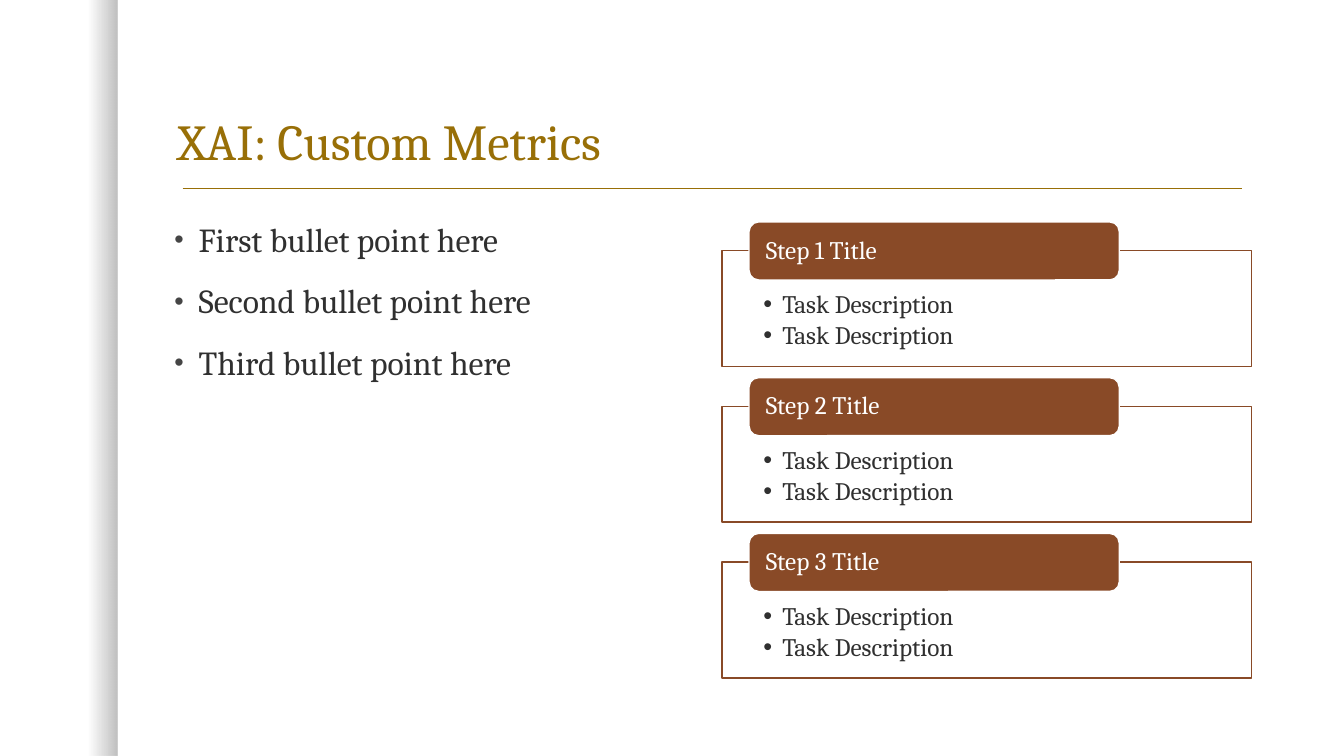
from dataclasses import dataclass

from pptx import Presentation
from pptx.dml.color import RGBColor
from pptx.enum import shapes, text
from pptx.oxml import ns, xmlchemy
from pptx.util import Pt


@dataclass(frozen=True)
class Theme:
    font: str = "Cambria"
    gold: RGBColor = RGBColor(0x98, 0x6F, 0x07)
    brown: RGBColor = RGBColor(0x89, 0x4A, 0x27)
    ink: RGBColor = RGBColor(0x30, 0x30, 0x30)
    bullet: RGBColor = RGBColor(0x45, 0x45, 0x45)
    white: RGBColor = RGBColor(0xFF, 0xFF, 0xFF)
    black: RGBColor = RGBColor(0, 0, 0)
    title_size: int = 36
    body_size: int = 24
    step_size: int = 18


THEME = Theme()
POINTS = ["First bullet point here", "Second bullet point here", "Third bullet point here"]
STEPS = [
    ("Step 1 Title", ["Task Description", "Task Description"]),
    ("Step 2 Title", ["Task Description", "Task Description"]),
    ("Step 3 Title", ["Task Description", "Task Description"]),
]
STEP_TOP = 158.5
STEP_PITCH = 111.25


def add_child(parent, tag, **attributes):
    child = xmlchemy.OxmlElement(tag)
    for key, value in attributes.items():
        child.set(key, str(value))
    parent.append(child)
    return child


def set_opacity(area, *percents):
    colors = area._element.spPr.iter(ns.qn("a:srgbClr"))
    for color, percent in zip(colors, percents):
        add_child(color, "a:alpha", val=percent * 1000)


def set_frame(frame, anchor, left, top, right, bottom):
    frame.word_wrap = True
    frame.auto_size = text.MSO_AUTO_SIZE.NONE
    frame.vertical_anchor = anchor
    frame.margin_left, frame.margin_top = Pt(left), Pt(top)
    frame.margin_right, frame.margin_bottom = Pt(right), Pt(bottom)


def style_paragraph(paragraph, size, color):
    paragraph.alignment = text.PP_ALIGN.LEFT
    paragraph.line_spacing = 0.9
    paragraph.font.name = THEME.font
    paragraph.font.size = Pt(size)
    paragraph.font.color.rgb = color


def write_bullets(frame, items, size, color, indent, before=0, after=0,
                  bullet_color=THEME.ink, bullet_scale=100):
    for index, item in enumerate(items):
        paragraph = frame.paragraphs[0] if index == 0 else frame.add_paragraph()
        paragraph.text = item
        paragraph.space_before = Pt(before if index else 0)
        paragraph.space_after = Pt(after)
        properties = paragraph._p.get_or_add_pPr()
        properties.set("marL", str(Pt(indent)))
        properties.set("indent", str(-Pt(indent)))
        add_child(add_child(properties, "a:buClr"), "a:srgbClr", val=bullet_color)
        add_child(properties, "a:buSzPct", val=bullet_scale * 1000)
        add_child(properties, "a:buFont", typeface="Arial")
        add_child(properties, "a:buChar", char="•")
        style_paragraph(paragraph, size, color)


def add_block(slide, kind, left, top, width, height, fill, line):
    block = slide.shapes.add_shape(kind, Pt(left), Pt(top), Pt(width), Pt(height))
    block.shadow.inherit = False
    block.fill.solid()
    block.fill.fore_color.rgb = fill
    block.line.color.rgb = line
    block.line.width = Pt(1)
    return block


def add_edge_shade(slide):
    shade = slide.shapes.add_shape(shapes.MSO_SHAPE.RECTANGLE, 0, 0, Pt(83.75), Pt(540))
    shade.shadow.inherit = False
    shade.line.fill.background()
    shade.fill.gradient()
    shade.fill.gradient_angle = 0
    for stop, position in zip(shade.fill.gradient_stops, (0.75, 1)):
        stop.position = position
        stop.color.rgb = THEME.black
    set_opacity(shade, 0, 25)


def add_title_rule(slide):
    rule = slide.shapes.add_connector(
        shapes.MSO_CONNECTOR.STRAIGHT, Pt(130.5), Pt(134.5), Pt(887.5), Pt(134.5))
    rule.line.color.rgb = THEME.gold
    rule.line.width = Pt(1)
    add_child(rule._element.spPr, "a:effectLst")


def set_title(slide, wording):
    title = slide.shapes.title
    title.left, title.top, title.width, title.height = Pt(119.5), Pt(30), Pt(774), Pt(96)
    set_frame(title.text_frame, text.MSO_ANCHOR.BOTTOM, 7.2, 3.6, 7.2, 3.6)
    title.text_frame.text = wording
    style_paragraph(title.text_frame.paragraphs[0], THEME.title_size, THEME.gold)


def add_points(slide, points):
    body = slide.shapes.add_textbox(Pt(117.5), Pt(156), Pt(378), Pt(330))
    set_frame(body.text_frame, text.MSO_ANCHOR.TOP, 7.2, 3.6, 7.2, 3.6)
    write_bullets(body.text_frame, points, THEME.body_size, THEME.ink, 17.28,
                  before=18, bullet_color=THEME.bullet, bullet_scale=80)


def add_step(slide, top, heading, tasks):
    panel = add_block(slide, shapes.MSO_SHAPE.RECTANGLE, 515.75, top + 20.5, 378, 82.75,
                      THEME.white, THEME.brown)
    set_opacity(panel, 90)
    set_frame(panel.text_frame, text.MSO_ANCHOR.TOP, 29.5, 29.5, 29.5, 10)
    write_bullets(panel.text_frame, tasks, THEME.step_size, THEME.ink, 13.5, after=2.7)

    header = add_block(slide, shapes.MSO_SHAPE.ROUNDED_RECTANGLE, 535, top, 264.5, 41.5,
                       THEME.brown, THEME.white)
    set_frame(header.text_frame, text.MSO_ANCHOR.MIDDLE, 10, 0, 10, 0)
    header.text_frame.text = heading
    style_paragraph(header.text_frame.paragraphs[0], THEME.step_size, THEME.white)


def main():
    deck = Presentation()
    deck.slide_width, deck.slide_height = Pt(960), Pt(540)
    slide = deck.slides.add_slide(deck.slide_layouts.get_by_name("Title Only"))
    add_edge_shade(slide)
    add_title_rule(slide)
    set_title(slide, "XAI: Custom Metrics")
    add_points(slide, POINTS)
    for index, (heading, tasks) in enumerate(STEPS):
        add_step(slide, STEP_TOP + index * STEP_PITCH, heading, tasks)
    deck.save("out.pptx")


if __name__ == "__main__":
    main()
